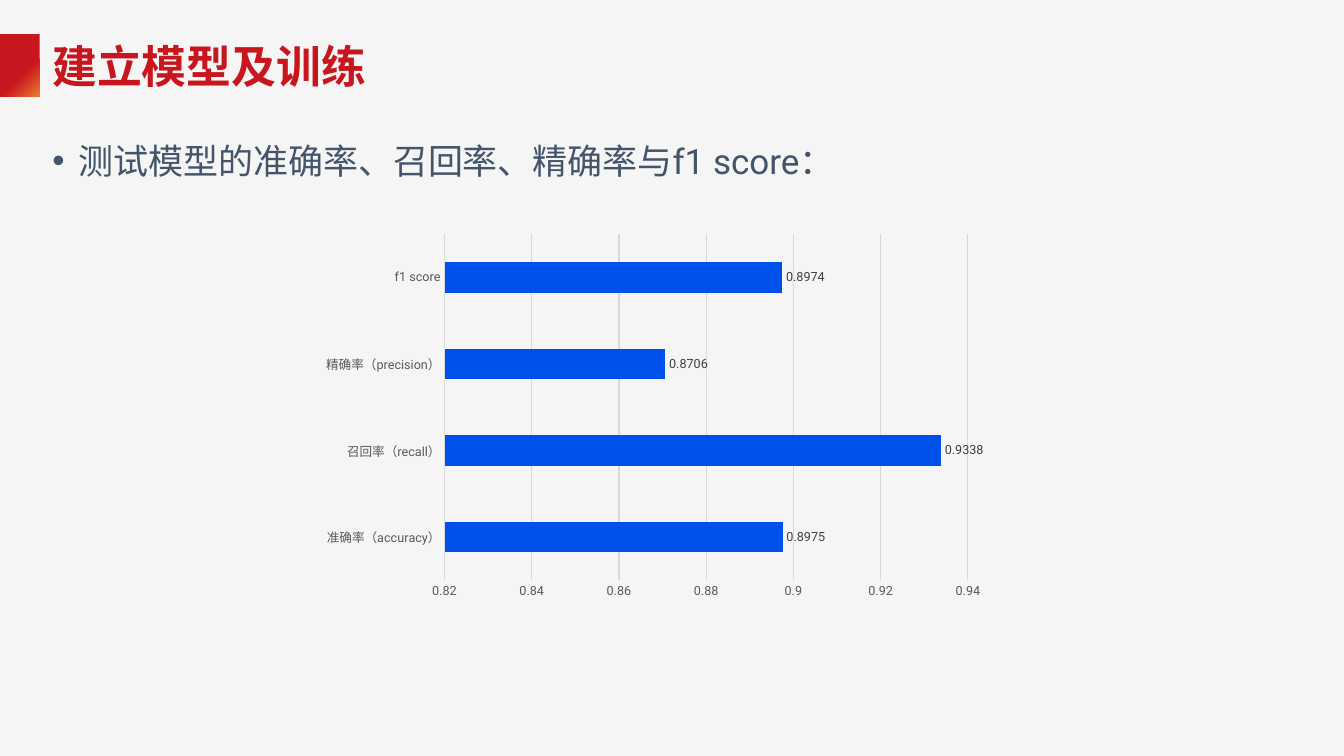
from dataclasses import dataclass
from typing import Any, NamedTuple

import pptx
import pptx.chart.chart
import pptx.chart.data
import pptx.dml.color
import pptx.enum.chart
import pptx.enum.shapes
import pptx.enum.text
import pptx.oxml
import pptx.oxml.ns
import pptx.slide
import pptx.util

Pt = pptx.util.Pt
RGB = pptx.dml.color.RGBColor.from_string


@dataclass(frozen=True)
class Theme:
    background: str = "F5F5F5"
    red: str = "C8161E"
    orange: str = "ED7D31"
    body: str = "44546A"
    bar: str = "0051EB"
    grid: str = "D9D9D9"
    axis_text: str = "595959"
    label_text: str = "404040"
    title_font: str = "Cabin"
    text_font: str = "Roboto"
    title_size: float = 32
    body_size: float = 25
    chart_size: float = 10
    label_size: float = 9


class Box(NamedTuple):
    left: float
    top: float
    width: float
    height: float

    def lengths(self) -> list[int]:
        return [Pt(value) for value in self]


class Metric(NamedTuple):
    name: str
    value: float


@dataclass(frozen=True)
class TextBlock:
    placeholder: int
    box: Box
    text: str
    font: str
    size: float
    color: str
    bold: bool
    anchor: Any
    line_spacing: float
    bullet_indent: float = 0


THEME = Theme()
SLIDE_SIZE = (960, 540)
TITLE_MARK = Box(0, 24.5, 28.4, 44.5)
CHART_BOX = Box(223.2, 162, 486.7, 271.4)

TEXT_BLOCKS = [
    TextBlock(0, Box(30.2, 20.9, 704.2, 51.8), "建立模型及训练",
              THEME.title_font, THEME.title_size, THEME.red, True,
              pptx.enum.text.MSO_ANCHOR.MIDDLE, 1),
    TextBlock(1, Box(30.2, 90, 900, 393.1), "测试模型的准确率、召回率、精确率与f1 score：",
              THEME.text_font, THEME.body_size, THEME.body, False,
              pptx.enum.text.MSO_ANCHOR.TOP, 1.2, 18.7),
]

METRICS = [
    Metric("准确率（accuracy）", 0.8975),
    Metric("召回率（recall）", 0.9338),
    Metric("精确率（precision）", 0.8706),
    Metric("f1 score", 0.8974),
]


def apply_format(target: Any, values: dict[str, Any]) -> None:
    for name, value in values.items():
        setattr(target, name, value)


def format_font(font: Any, name: str, size: float, color: str, bold: bool = False) -> None:
    apply_format(font, {"name": name, "size": Pt(size), "bold": bold})
    font.color.rgb = RGB(color)


def format_line(line: Any, color: str) -> None:
    line.color.rgb = RGB(color)
    line.width = Pt(0.75)


def set_bullet(paragraph: Any, indent: float) -> None:
    """Give the paragraph a round bullet, or none when the indent is zero."""
    properties = paragraph._p.get_or_add_pPr()
    properties.set("marL", str(Pt(indent)))
    properties.set("indent", str(-Pt(indent)))
    if indent:
        namespace = pptx.oxml.ns.nsdecls("a")
        properties.append(pptx.oxml.parse_xml(f'<a:buFont {namespace} typeface="Arial"/>'))
        properties.append(pptx.oxml.parse_xml(f'<a:buChar {namespace} char="•"/>'))


def fill_placeholder(slide: pptx.slide.Slide, block: TextBlock) -> None:
    shape = slide.placeholders[block.placeholder]
    apply_format(shape, dict(zip(("left", "top", "width", "height"), block.box.lengths())))
    frame = shape.text_frame
    frame.text = block.text
    apply_format(frame, {
        "word_wrap": True,
        "auto_size": pptx.enum.text.MSO_AUTO_SIZE.NONE,
        "vertical_anchor": block.anchor,
    })
    paragraph = frame.paragraphs[0]
    set_bullet(paragraph, block.bullet_indent)
    apply_format(paragraph, {
        "alignment": pptx.enum.text.PP_ALIGN.LEFT,
        "line_spacing": block.line_spacing,
        "space_before": Pt(0),
    })
    format_font(paragraph.runs[0].font, block.font, block.size, block.color, block.bold)


def add_title_mark(slide: pptx.slide.Slide) -> None:
    mark = slide.shapes.add_shape(
        pptx.enum.shapes.MSO_SHAPE.RECTANGLE, *TITLE_MARK.lengths())
    mark.shadow.inherit = False
    mark.line.fill.background()
    mark.fill.gradient()
    mark.fill.gradient_angle = 315
    stops = ((0.62, THEME.red), (1, THEME.orange))
    for stop, (position, color) in zip(mark.fill.gradient_stops, stops):
        stop.position = position
        stop.color.rgb = RGB(color)


def format_axes(chart: pptx.chart.chart.Chart) -> None:
    for axis in (chart.category_axis, chart.value_axis):
        apply_format(axis, {
            "major_tick_mark": pptx.enum.chart.XL_TICK_MARK.NONE,
            "minor_tick_mark": pptx.enum.chart.XL_TICK_MARK.NONE,
        })
        format_font(axis.tick_labels.font, THEME.text_font, THEME.label_size, THEME.axis_text)
    chart.category_axis.has_major_gridlines = False
    format_line(chart.category_axis.format.line, THEME.grid)
    apply_format(chart.value_axis, {
        "minimum_scale": 0.82, "maximum_scale": 0.94, "major_unit": 0.02,
        "has_major_gridlines": True,
    })
    chart.value_axis.format.line.fill.background()
    format_line(chart.value_axis.major_gridlines.format.line, THEME.grid)


def add_metric_chart(slide: pptx.slide.Slide) -> None:
    data = pptx.chart.data.CategoryChartData()
    data.categories = [metric.name for metric in METRICS]
    data.add_series("Series 1", [metric.value for metric in METRICS])
    chart = slide.shapes.add_chart(
        pptx.enum.chart.XL_CHART_TYPE.BAR_CLUSTERED, *CHART_BOX.lengths(), data).chart
    apply_format(chart, {"has_title": False, "has_legend": False})
    format_font(chart.font, THEME.text_font, THEME.chart_size, "000000")
    format_axes(chart)
    plot = chart.plots[0]
    apply_format(plot, {"gap_width": 182, "vary_by_categories": False})
    bars = plot.series[0]
    bars.format.fill.solid()
    bars.format.fill.fore_color.rgb = RGB(THEME.bar)
    labels = bars.data_labels
    apply_format(labels, {
        "show_value": True,
        "position": pptx.enum.chart.XL_LABEL_POSITION.OUTSIDE_END,
    })
    format_font(labels.font, THEME.text_font, THEME.label_size, THEME.label_text)


def main() -> None:
    presentation = pptx.Presentation()
    presentation.slide_width, presentation.slide_height = map(Pt, SLIDE_SIZE)
    slide = presentation.slides.add_slide(presentation.slide_layouts[1])
    slide.background.fill.solid()
    slide.background.fill.fore_color.rgb = RGB(THEME.background)
    add_title_mark(slide)
    for block in TEXT_BLOCKS:
        fill_placeholder(slide, block)
    add_metric_chart(slide)
    presentation.save("out.pptx")


if __name__ == "__main__":
    main()
